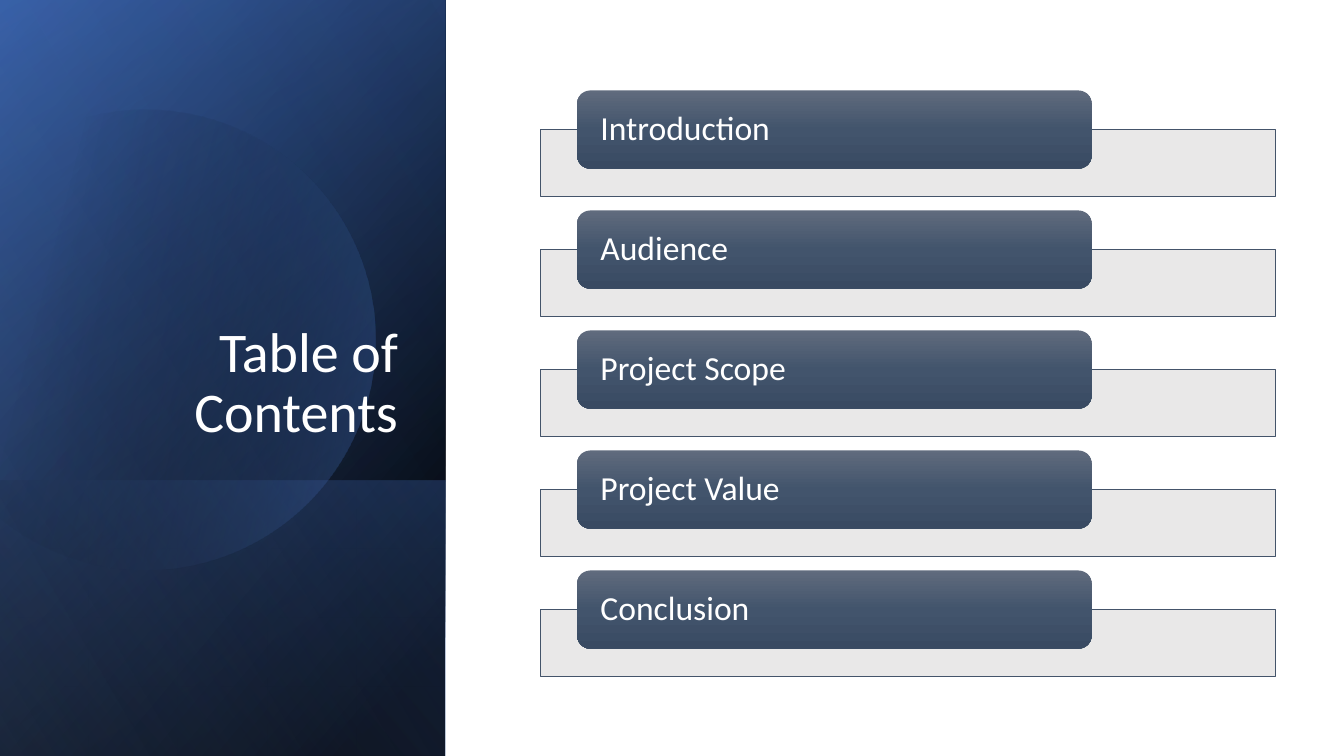
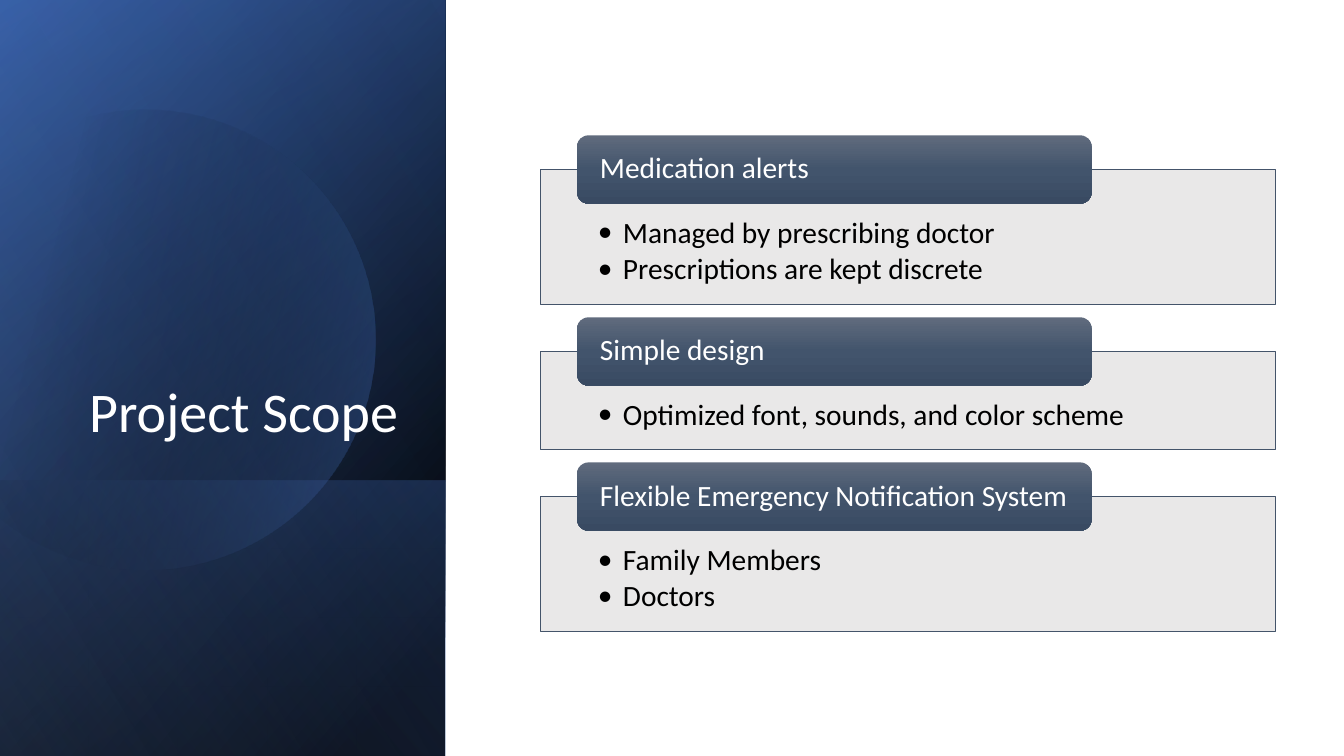
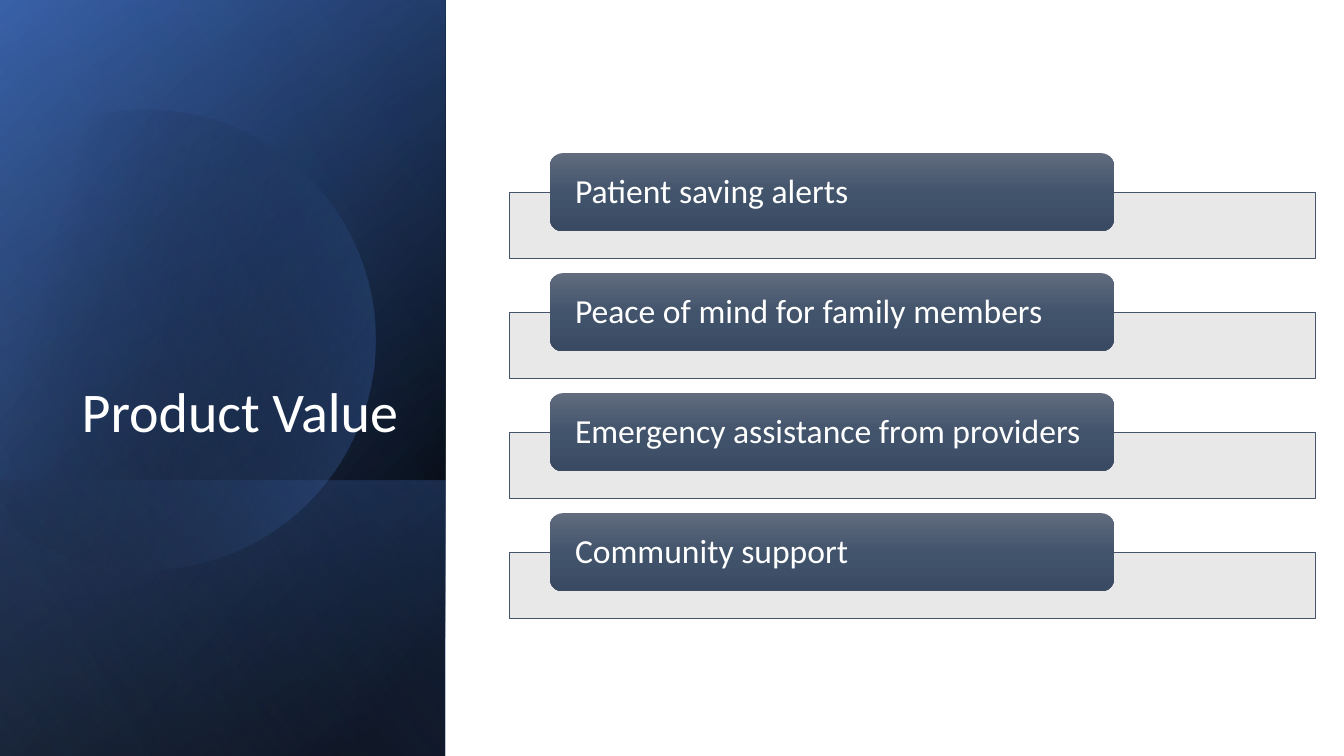
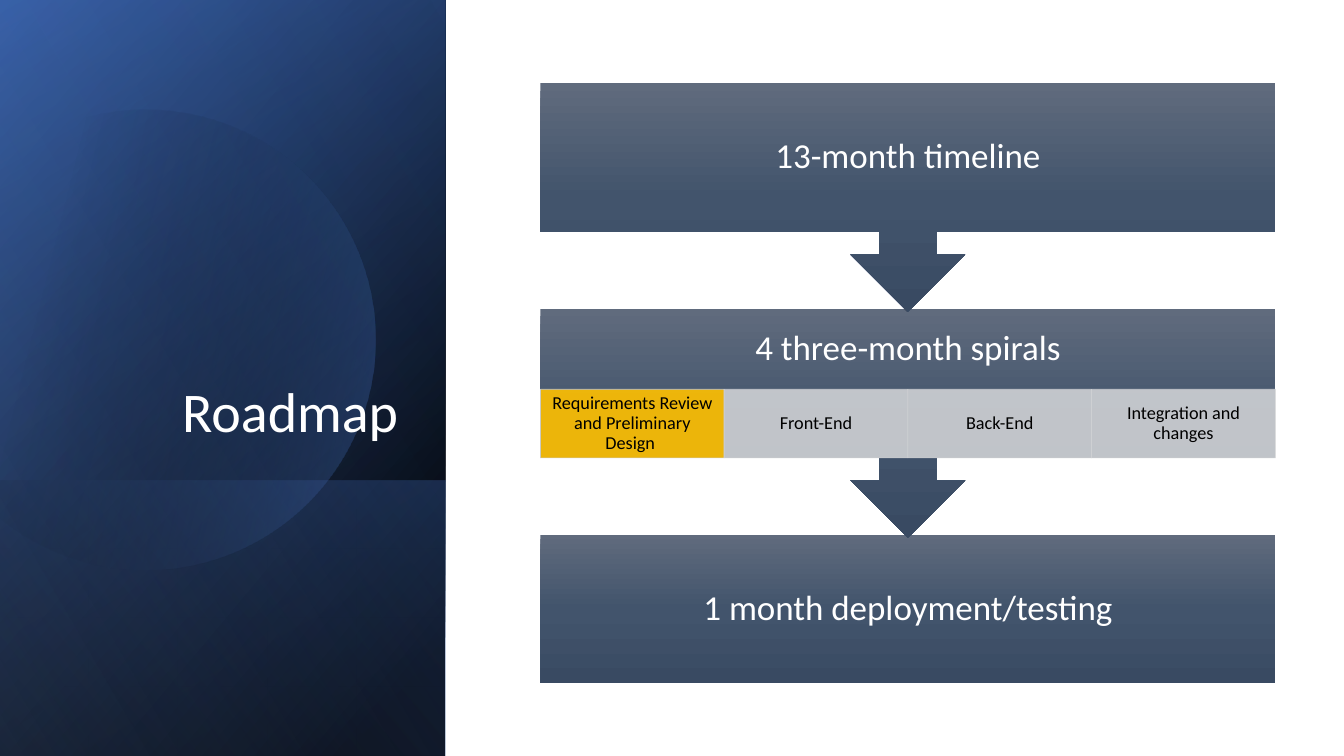
from math import cos, radians, sin

from pptx import Presentation
from pptx.dml.color import RGBColor
from pptx.enum.shapes import MSO_SHAPE as Preset
from pptx.enum.text import MSO_ANCHOR as Anchor, PP_ALIGN as Align
from pptx.oxml.ns import qn
from pptx.util import Cm, Pt
from lxml.etree import SubElement

FONT = "Calibri"
BLACK = RGBColor(0x00, 0x00, 0x00)
WHITE = RGBColor(0xFF, 0xFF, 0xFF)
NAVY = RGBColor(0x2F, 0x55, 0x97)
BLUE = RGBColor(0x44, 0x72, 0xC4)
SKY = RGBColor(0x8F, 0xAA, 0xDC)
SLATE = RGBColor(0x44, 0x54, 0x6A)
PALE = RGBColor(0xE7, 0xE6, 0xE6)
SILVER = RGBColor(0xCF, 0xD1, 0xD4)
GOLD = RGBColor(0xFF, 0xC0, 0x00)

# Gradient stops: position, colour, opacity (all in percent but the colour)
STEEL = [(0, RGBColor(0x60, 0x6B, 0x7D), 100),
         (50, RGBColor(0x42, 0x54, 0x6C), 100),
         (100, RGBColor(0x39, 0x4A, 0x62), 100)]

SLIDE_W, SLIDE_H = 33.87, 19.05
PANEL_W, BAND_TOP = 11.22, 12.11
CONTENT_LEFT, CONTENT_W = 13.62, 18.52


def set_alpha(color_element, percent):
    if percent < 100:
        SubElement(color_element, qn("a:alpha"), val=str(percent * 1000))


def write(shape, *paragraphs, size, color=WHITE, align=Align.LEFT,
          anchor=Anchor.MIDDLE, insets=(0.25, 0.13, 0.25, 0.13),
          space_after=0, bullet=False):
    """Fill a shape with paragraphs; insets are left, top, right, bottom."""
    frame = shape.text_frame
    frame.word_wrap = True
    frame.vertical_anchor = anchor
    (frame.margin_left, frame.margin_top,
     frame.margin_right, frame.margin_bottom) = map(Cm, insets)
    for index, text in enumerate(paragraphs):
        paragraph = frame.add_paragraph() if index else frame.paragraphs[0]
        paragraph.alignment = align
        paragraph.line_spacing = 0.9
        paragraph.space_after = Pt(space_after)
        run = paragraph.add_run()
        run.text = text
        run.font.name = FONT
        run.font.size = Pt(size)
        run.font.color.rgb = color
        if bullet:
            properties = paragraph._p.get_or_add_pPr()
            properties.set("marL", str(Cm(0.63)))
            properties.set("indent", str(-Cm(0.63)))
            SubElement(properties, qn("a:buFont"), typeface=FONT)
            SubElement(properties, qn("a:buChar"), char="•")


class Deck:
    def __init__(self):
        self.presentation = Presentation()
        self.presentation.slide_width = Cm(SLIDE_W)
        self.presentation.slide_height = Cm(SLIDE_H)
        self.slide = None

    # Fills
    def gradient(self, shape, stops, angle):
        """Angle runs clockwise from left-to-right."""
        shape.shadow.inherit = False
        shape.line.fill.background()
        shape.fill.gradient()
        shape.fill.gradient_angle = -angle % 360
        stop_list = shape.element.spPr.find(qn("a:gradFill")).find(qn("a:gsLst"))
        stop_list.clear()
        for position, color, opacity in stops:
            stop = SubElement(stop_list, qn("a:gs"), pos=str(position * 1000))
            set_alpha(SubElement(stop, qn("a:srgbClr"), val=str(color)), opacity)

    def shape(self, preset, left, top, width, height):
        return self.slide.shapes.add_shape(
            preset, Cm(left), Cm(top), Cm(width), Cm(height))

    def gradient_shape(self, preset, box, stops=STEEL, angle=90):
        shape = self.shape(preset, *box)
        self.gradient(shape, stops, angle)
        return shape

    def translucent_box(self, box, fill, line, line_opacity=100):
        shape = self.shape(Preset.RECTANGLE, *box)
        shape.shadow.inherit = False
        shape.fill.solid()
        shape.fill.fore_color.rgb = fill
        shape.line.color.rgb = line
        shape.line.width = Pt(0.5)
        properties = shape.element.spPr
        for holder, opacity in ((properties, 90),
                                (properties.find(qn("a:ln")), line_opacity)):
            set_alpha(holder.find(qn("a:solidFill"))[0], opacity)
        return shape

    # Left panel with the slide title
    def disc(self):
        """A circle cut off at the left, its sides bent into arcs."""
        center_x, center_y, radius = 3.66, 8.56, 5.79
        angles = [-134, -90, 0, 90, 134]
        start, *rest = [(Cm(center_x + radius * cos(radians(a))),
                         Cm(center_y + radius * sin(radians(a))))
                        for a in angles]
        builder = self.slide.shapes.build_freeform(*start)
        builder.add_line_segments(rest, close=True)
        disc = builder.convert_to_shape()
        outline = next(disc.element.iter(qn("a:path")))
        sides = outline.findall(qn("a:lnTo"))
        for side, begin, end in zip(sides, angles, angles[1:]):
            arc = SubElement(outline, qn("a:arcTo"),
                             wR=str(Cm(radius)), hR=str(Cm(radius)),
                             stAng=str(begin % 360 * 60000),
                             swAng=str((end - begin) * 60000))
            outline.replace(side, arc)
        self.gradient(disc, [(20, BLACK, 0), (100, BLUE, 40)], 14)

    def panel(self):
        whole = (0, 0, PANEL_W, SLIDE_H)
        band = (0, BAND_TOP, PANEL_W, SLIDE_H - BAND_TOP)
        self.gradient_shape(Preset.RECTANGLE, whole,
                            [(8, BLACK, 100), (100, NAVY, 100)], 220)
        self.gradient_shape(Preset.RECTANGLE, whole,
                            [(0, BLACK, 0), (99, BLUE, 46)], 240)
        self.gradient_shape(Preset.RECTANGLE, band,
                            [(2, BLUE, 29), (100, BLACK, 30)], 140)
        self.disc()
        self.gradient_shape(Preset.RECTANGLE, whole,
                            [(0, BLACK, 0), (99, SKY, 11)], 150)

    def new_slide(self, title):
        self.slide = self.presentation.slides.add_slide(
            self.presentation.slide_layouts[6])
        self.panel()
        heading = self.slide.shapes.add_textbox(
            Cm(1.62), Cm(4.69), Cm(8.66), Cm(6.65))
        write(heading, title, size=40, align=Align.RIGHT, anchor=Anchor.BOTTOM)

    # Stack of bars, each with an overlapping tag
    def tag_stack(self, sections, top, size=24, left=CONTENT_LEFT,
                  width=CONTENT_W, pad=0.49):
        tag_h = 0.082 * size
        gap = 0.015 * size
        for label, items in sections:
            bar_top = top + tag_h / 2
            bar_h = 1.55 + 0.93 * len(items) if items else 1.68
            bar = self.translucent_box((left, bar_top, width, bar_h), PALE, SLATE)
            if items:
                write(bar, *items, size=size, color=BLACK, anchor=Anchor.TOP,
                      insets=(1.45, 1.22, 1.45, 0.41),
                      space_after=0.15 * size, bullet=True)
            tag = self.gradient_shape(
                Preset.ROUNDED_RECTANGLE,
                (left + 0.05 * width, top, 0.7 * width, tag_h))
            write(tag, label, size=size, insets=(pad, 0, pad, 0))
            top = bar_top + bar_h + gap

    # Steps of the roadmap
    def step(self, text, top, height, arrow=True, bottom_inset=0.48):
        preset = Preset.DOWN_ARROW_CALLOUT if arrow else Preset.RECTANGLE
        step = self.gradient_shape(preset, (CONTENT_LEFT, top, CONTENT_W, height))
        if arrow:
            for index, value in enumerate((0.25, 0.25, 0.25, 0.65)):
                step.adjustments[index] = value
        write(step, text, size=25, align=Align.CENTER,
              insets=(0.48, 0.48, 0.48, bottom_inset))

    def phase_row(self, phases, top, height):
        width = CONTENT_W / len(phases)
        for index, (text, fill) in enumerate(phases):
            phase = self.translucent_box(
                (CONTENT_LEFT + index * width, top, width, height),
                fill, SILVER, line_opacity=90)
            write(phase, text, size=13, color=BLACK, align=Align.CENTER,
                  insets=(0.25, 0.05, 0.25, 0.05))


def main():
    deck = Deck()

    # Contents
    deck.new_slide("Table of Contents")
    chapters = ["Introduction", "Audience", "Project Scope", "Project Value",
                "Conclusion"]
    deck.tag_stack([(chapter, []) for chapter in chapters], top=2.28)

    # Scope
    deck.new_slide("Project Scope")
    deck.tag_stack([
        ("Medication alerts", ["Managed by prescribing doctor",
                               "Prescriptions are kept discrete"]),
        ("Simple design", ["Optimized font, sounds, and color scheme"]),
        ("Flexible Emergency Notification System", ["Family Members", "Doctors"]),
    ], top=3.41, size=21)

    # Value
    deck.new_slide("Product Value")
    benefits = ["Patient saving alerts", "Peace of mind for family members",
                "Emergency assistance from providers", "Community support"]
    deck.tag_stack([(benefit, []) for benefit in benefits],
                   top=3.86, left=12.84, width=20.32, pad=0.54)

    # Roadmap, drawn upwards so that each arrow tip lies on the next step
    deck.new_slide("Roadmap")
    first_top, pitch, callout_h, box_h = 2.09, 5.69, 5.77, 3.75
    deck.step("1 month deployment/testing", first_top + 2 * pitch, box_h,
              arrow=False)
    deck.step("4 three-month spirals", first_top + pitch, callout_h,
              bottom_inset=2.2)
    deck.phase_row([("Requirements Review and Preliminary Design ", GOLD),
                    ("Front-End", SILVER),
                    ("Back-End", SILVER),
                    ("Integration and changes", SILVER)], top=9.81, height=1.73)
    deck.step("13-month timeline", first_top, callout_h)

    deck.presentation.save("out.pptx")


if __name__ == "__main__":
    main()
